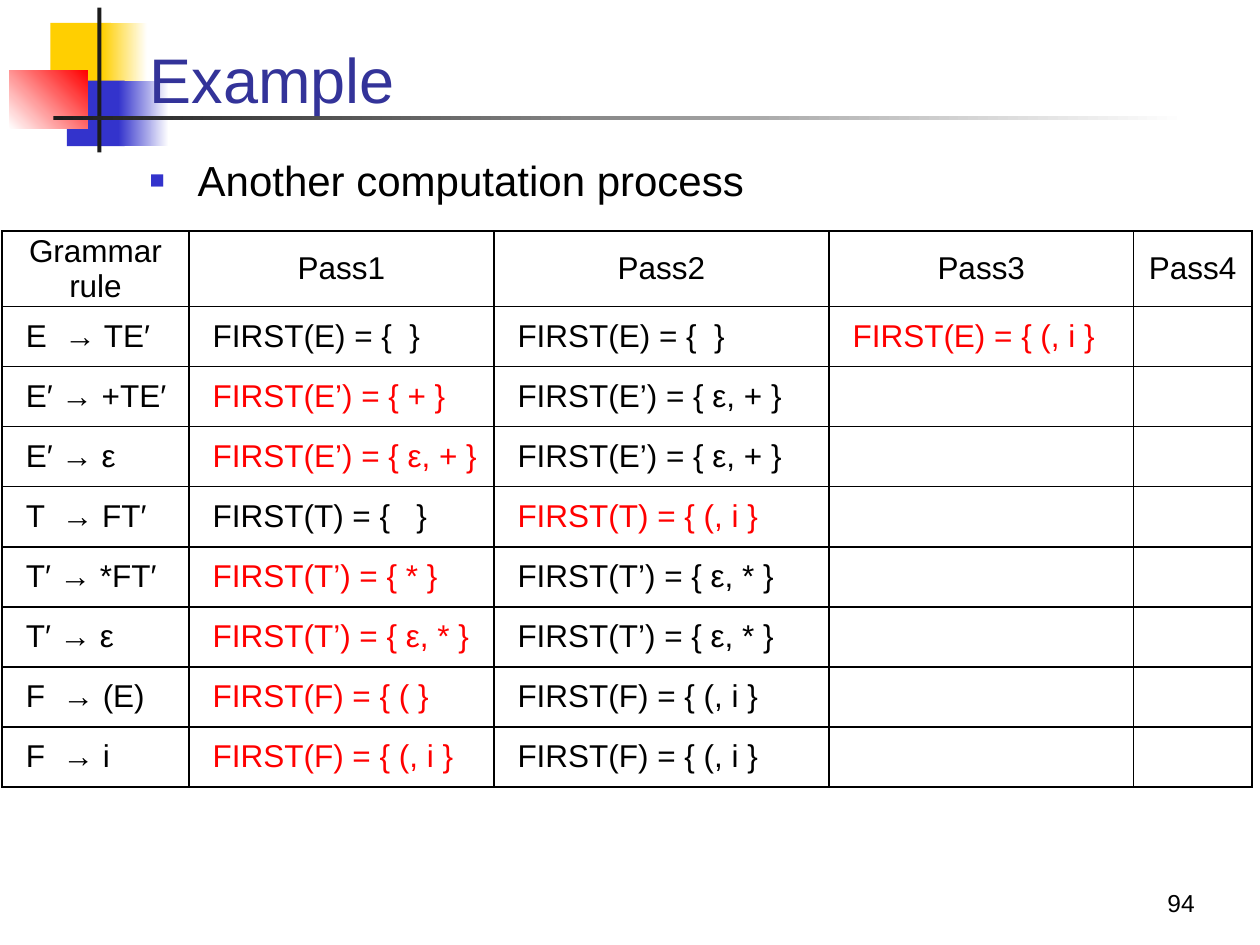
from lxml.etree import SubElement
from pptx import Presentation
from pptx.dml.color import RGBColor
from pptx.enum.shapes import MSO_SHAPE
from pptx.enum.text import MSO_ANCHOR as ANCHOR, PP_ALIGN as ALIGN
from pptx.oxml import parse_xml
from pptx.oxml.ns import nsdecls, qn
from pptx.util import Pt

BLACK = RGBColor(0, 0, 0)
WHITE = RGBColor(0xFF, 0xFF, 0xFF)
RED = RGBColor(0xFF, 0, 0)
YELLOW = RGBColor(0xFF, 0xCF, 0x01)
BLUE = RGBColor(0x33, 0x33, 0xCC)
NAVY = RGBColor(0x33, 0x33, 0x99)
CHARCOAL = RGBColor(0x1C, 0x1C, 0x1C)

DECOR = [
    ((28.8, 13, 34.6, 37.4), (YELLOW,), 0),
    ((58.3, 13, 25.9, 37.4), (YELLOW, WHITE), 0),
    ((38.2, 46.1, 33.1, 37.4), (BLUE,), 0),
    ((67.7, 46.1, 28.8, 37.4), (BLUE, WHITE), 0),
    ((5.4, 40.1, 44.6, 33.5), (WHITE, RED), 45),
    ((55.6, 4.3, 2.4, 82.8), (CHARCOAL,), 0),
    ((30.5, 66.2, 648, 2.6), (CHARCOAL, WHITE), 0),
]
COL_WIDTHS = [106.8, 174.2, 191.5, 174.2, 67.5]
HEADER_HEIGHT, ROW_HEIGHT = 40.3, 34.3
HEADERS = ["Grammar rule", "Pass1", "Pass2", "Pass3", "Pass4"]
ROWS = [
    ["E  → TE′", "FIRST(E) = {  }", "FIRST(E) = {  }", "FIRST(E) = { (, i }"],
    ["E′ → +TE′", "FIRST(E’) = { + }", "FIRST(E’) = { ε, + }"],
    ["E′ → ε", "FIRST(E’) = { ε, + }", "FIRST(E’) = { ε, + }"],
    ["T  → FT′", "FIRST(T) = {   }", "FIRST(T) = { (, i }"],
    ["T′ → *FT′", "FIRST(T’) = { * }", "FIRST(T’) = { ε, * }"],
    ["T′ → ε", "FIRST(T’) = { ε, * }", "FIRST(T’) = { ε, * }"],
    ["F  → (E)", "FIRST(F) = { ( }", "FIRST(F) = { (, i }"],
    ["F  → i", "FIRST(F) = { (, i }", "FIRST(F) = { (, i }"],
]
CHANGED = {(1, 3), (2, 1), (3, 1), (4, 2), (5, 1), (6, 1), (7, 1), (8, 1)}


def set_attrs(obj, values):
    """Set each named attribute of an object."""
    for name, value in values.items():
        setattr(obj, name, value)


def write(tf, text, size, color=BLACK, **para):
    """Write one formatted paragraph into a text frame and return it."""
    p = tf.paragraphs[0]
    set_attrs(p, para)
    r = p.add_run()
    r.text = text
    set_attrs(r.font, {"name": "Arial", "size": Pt(size)})
    r.font.color.rgb = color
    return p


def add_block(s, box, colors, angle):
    """Add a borderless rectangle with a solid or two-colour fill."""
    sp = s.shapes.add_shape(MSO_SHAPE.RECTANGLE, *map(Pt, box))
    sp.shadow.inherit = False
    sp.line.fill.background()
    if len(colors) == 1:
        sp.fill.solid()
        sp.fill.fore_color.rgb = colors[0]
        return
    sp.fill.gradient()
    sp.fill.gradient_angle = angle
    for stop, color in zip(sp.fill.gradient_stops, colors):
        stop.color.rgb = color


def add_text(s, box, text, size, color=BLACK, anchor=ANCHOR.TOP, **para):
    """Add a wrapped text box and return its paragraph."""
    tf = s.shapes.add_textbox(*map(Pt, box)).text_frame
    set_attrs(tf, {"word_wrap": True, "vertical_anchor": anchor})
    return write(tf, text, size, color, **para)


def add_bullet(p):
    """Give a paragraph a small square bullet with a hanging indent."""
    pPr = p._p.get_or_add_pPr()
    set_indent(p, 27.4, -27.4)
    color = SubElement(pPr, qn("a:buClr"))
    SubElement(color, qn("a:srgbClr"), val=str(BLUE))
    SubElement(pPr, qn("a:buSzPct"), val="60000")
    SubElement(pPr, qn("a:buFont"), typeface="Arial")
    SubElement(pPr, qn("a:buChar"), char="■")


def set_indent(p, margin, indent):
    """Set the left margin and first-line indent of a paragraph."""
    pPr = p._p.get_or_add_pPr()
    pPr.set("marL", str(Pt(margin)))
    pPr.set("indent", str(Pt(indent)))


def format_cell(cell):
    """Give a cell its margins, middle anchor, clear fill and borders."""
    set_attrs(cell, {"margin_left": Pt(5), "margin_right": Pt(5), "margin_top": 0,
                     "margin_bottom": 0, "vertical_anchor": ANCHOR.MIDDLE})
    cell.fill.background()
    tcPr = cell._tc.get_or_add_tcPr()
    for i, side in enumerate("LRTB"):
        tcPr.insert(i, parse_xml(
            f'<a:ln{side} {nsdecls("a")} w="{Pt(1)}"><a:solidFill>'
            f'<a:srgbClr val="{BLACK}"/></a:solidFill></a:ln{side}>'))


def add_passes_table(s):
    """Add the table of grammar rules and computation passes."""
    height = HEADER_HEIGHT + ROW_HEIGHT * len(ROWS)
    frame = s.shapes.add_table(len(ROWS) + 1, len(HEADERS), Pt(1.2), Pt(132),
                               Pt(sum(COL_WIDTHS)), Pt(height))
    table = frame.table
    set_attrs(table, {"first_row": False, "horz_banding": False})
    for col, width in zip(table.columns, COL_WIDTHS):
        col.width = Pt(width)
    for i, row in enumerate(table.rows):
        row.height = Pt(ROW_HEIGHT if i else HEADER_HEIGHT)
    for cell in table.iter_cells():
        format_cell(cell)
    for i, texts in enumerate([HEADERS] + ROWS):
        for j, text in enumerate(texts):
            tf = table.cell(i, j).text_frame
            if i == 0:
                write(tf, text, 18, alignment=ALIGN.CENTER)
                continue
            para = {"alignment": ALIGN.JUSTIFY} if j else {"space_before": Pt(6)}
            color = RED if (i, j) in CHANGED else BLACK
            set_indent(write(tf, text, 18, color, **para), 0, 8.6)


def main():
    """Build the slide and save it."""
    prs = Presentation()
    set_attrs(prs, {"slide_width": Pt(720), "slide_height": Pt(540)})
    s = prs.slides.add_slide(prs.slide_layouts[6])
    for box, colors, angle in DECOR:
        add_block(s, box, colors, angle)
    add_text(s, (78.5, 15.1, 613.4, 54.7), "Example", 36, NAVY,
             ANCHOR.BOTTOM, line_spacing=0.85)
    add_bullet(add_text(s, (78.5, 85, 612, 406), "Another computation process",
                        24, space_before=Pt(12)))
    add_text(s, (540, 491.8, 149.8, 36), "94", 14, anchor=ANCHOR.BOTTOM,
             alignment=ALIGN.RIGHT)
    add_passes_table(s)
    prs.save("out.pptx")


if __name__ == "__main__":
    main()
